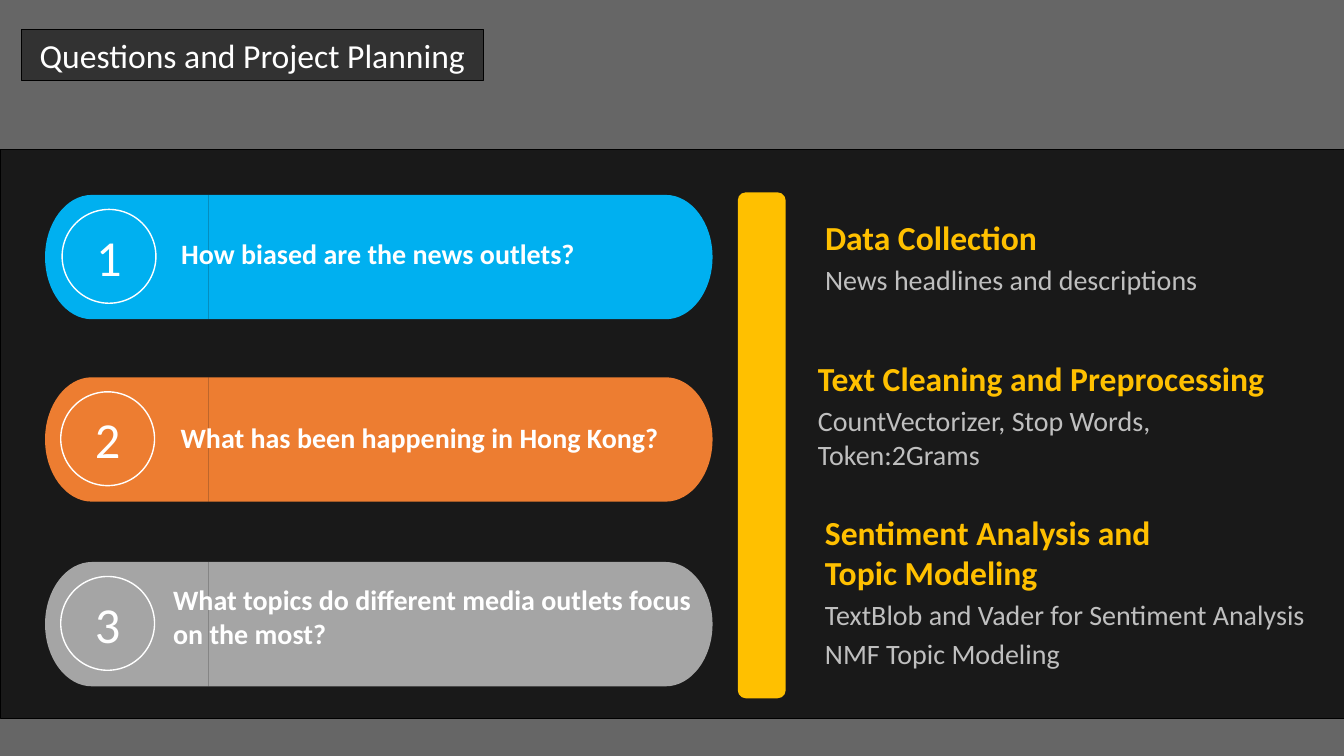
from dataclasses import dataclass

from lxml.etree import SubElement
from pptx import Presentation
from pptx.dml.color import RGBColor
from pptx.enum.shapes import MSO_SHAPE
from pptx.enum.text import MSO_ANCHOR, MSO_AUTO_SIZE, PP_ALIGN
from pptx.oxml.ns import qn
from pptx.util import Pt

FONT = "Calibri"
BLACK = RGBColor(0x00, 0x00, 0x00)
WHITE = RGBColor(0xFF, 0xFF, 0xFF)
BACKDROP = RGBColor(0x66, 0x66, 0x66)
BLUE = RGBColor(0x00, 0xB0, 0xF0)
ORANGE = RGBColor(0xED, 0x7D, 0x31)
GRAY = RGBColor(0xA5, 0xA5, 0xA5)
GOLD = RGBColor(0xFF, 0xC0, 0x00)
SILVER = RGBColor(0xBF, 0xBF, 0xBF)

PILL_LEFT, PILL_SPLIT, PILL_RIGHT = 32.2, 149, 509
PILL_HEIGHT = 88.8
CAP = 33.5
CURVE = 0.55  # handle length of a quarter-ellipse Bézier
BADGE = 67


@dataclass
class Question:
    number: str
    text: str
    color: RGBColor
    top: float
    badge_left: float
    text_box: tuple[float, float, float, float]


@dataclass
class Stage:
    headings: list[str]
    details: list[str]
    box: tuple[float, float, float, float]


QUESTIONS = [
    Question("1", "How biased are the news outlets?", BLUE, 139.2, 44.4,
             (122.4, 165.6, 377, 31.5)),
    Question("2", "What has been happening in Hong Kong?", ORANGE, 269.5, 43.4,
             (121.9, 296.8, 394, 31.5)),
    Question("3", "What topics do different media outlets focus on the most?", GRAY,
             401.4, 43.4, (116.6, 412.5, 405, 55.5)),
]
STAGES = [
    Stage(["Data Collection"], ["News headlines and descriptions"],
          (582.2, 151.3, 342, 65.5)),
    Stage(["Text Cleaning and Preprocessing"],
          ["CountVectorizer, Stop Words, Token:2Grams"], (577.2, 252, 352, 90)),
    Stage(["Sentiment Analysis and", "Topic Modeling"],
          ["TextBlob and Vader for Sentiment Analysis", "NMF Topic Modeling"],
          (582.2, 361.8, 365, 124)),
]


def write(tf, text: str, *, size: float, color: RGBColor, bold: bool = False,
          align=PP_ALIGN.LEFT, before: float = 0) -> None:
    """Fill the empty first paragraph, or append a new one."""
    p = tf.paragraphs[0] if not tf.text else tf.add_paragraph()
    p.alignment = align
    if before:
        p.space_before = Pt(before)
    r = p.add_run()
    r.text = text
    r.font.name, r.font.size, r.font.bold = FONT, Pt(size), bold
    r.font.color.rgb = color


def paint(sp, fill: RGBColor | None = None, opacity: int = 100,
          line: RGBColor | None = None, width: float = 1) -> None:
    if fill is None:
        sp.fill.background()
    else:
        sp.fill.solid()
        sp.fill.fore_color.rgb = fill
        if opacity < 100:
            clr = sp.fill._xPr.find(qn("a:solidFill"))[0]
            SubElement(clr, qn("a:alpha")).set("val", str(opacity * 1000))
    if line is None:
        sp.line.fill.background()
    else:
        sp.line.color.rgb = line
        sp.line.width = Pt(width)


def add_shape(s, kind: MSO_SHAPE, box: tuple[float, float, float, float], **style):
    sp = s.shapes.add_shape(kind, *map(Pt, box))
    sp.shadow.inherit = False
    paint(sp, **style)
    return sp


def add_text_box(s, box: tuple[float, float, float, float]):
    tf = s.shapes.add_textbox(*map(Pt, box)).text_frame
    tf.word_wrap = True
    tf.auto_size = MSO_AUTO_SIZE.SHAPE_TO_FIT_TEXT
    return tf


def round_cap(sp) -> None:
    """Turn the two cap edges of a pill half into quarter-ellipse curves."""
    edges = list(sp._element.iter(qn("a:lnTo")))[:3]
    corners = [(int(e[0].get("x")), int(e[0].get("y"))) for e in edges]
    (x0, y0), (x1, y1), (x2, y2) = corners
    handles = [
        [(x0 + CURVE * (x1 - x0), y0), (x1, y1 - CURVE * (y1 - y0))],
        [(x1, y1 + CURVE * (y2 - y1)), (x2 + CURVE * (x1 - x2), y2)],
    ]
    for edge, pair, end in zip(edges[1:], handles, corners[1:]):
        outline = edge.getparent()
        curve = SubElement(outline, qn("a:cubicBezTo"))
        for x, y in [*pair, end]:
            pt = SubElement(curve, qn("a:pt"))
            pt.set("x", str(round(x)))
            pt.set("y", str(round(y)))
        outline.replace(edge, curve)


def add_pill_half(s, outer: float, top: float, color: RGBColor) -> None:
    inner = outer - CAP if outer > PILL_SPLIT else outer + CAP
    bottom = top + PILL_HEIGHT
    points = [(inner, top), (outer, top + PILL_HEIGHT / 2), (inner, bottom),
              (PILL_SPLIT, bottom)]
    builder = s.shapes.build_freeform(Pt(PILL_SPLIT), Pt(top))
    builder.add_line_segments([(Pt(x), Pt(y)) for x, y in points])
    sp = builder.convert_to_shape()
    sp.shadow.inherit = False
    round_cap(sp)
    paint(sp, color)


def add_question(s, q: Question) -> None:
    for outer in (PILL_LEFT, PILL_RIGHT):
        add_pill_half(s, outer, q.top, q.color)
    badge_top = q.top + (PILL_HEIGHT - BADGE) / 2 - 0.5
    badge = add_shape(s, MSO_SHAPE.OVAL, (q.badge_left, badge_top, BADGE, BADGE),
                      line=WHITE)
    badge.text_frame.vertical_anchor = MSO_ANCHOR.MIDDLE
    write(badge.text_frame, q.number, size=36, color=WHITE, align=PP_ALIGN.CENTER)
    write(add_text_box(s, q.text_box), q.text, size=20, color=WHITE, bold=True)


def add_stage(s, stage: Stage) -> None:
    tf = add_text_box(s, stage.box)
    for heading in stage.headings:
        write(tf, heading, size=24, color=GOLD, bold=True)
    for detail in stage.details:
        write(tf, detail, size=20, color=SILVER, before=4)


def add_title(s, text: str) -> None:
    sp = s.shapes.title
    sp.left, sp.top, sp.width, sp.height = map(Pt, (15.2, 21, 330, 36.4))
    paint(sp, BLACK, opacity=50, line=BLACK, width=0.75)
    tf = sp.text_frame
    tf.word_wrap = True
    tf.auto_size = MSO_AUTO_SIZE.NONE
    tf.vertical_anchor = MSO_ANCHOR.TOP
    write(tf, text, size=24, color=WHITE, align=PP_ALIGN.CENTER)


def main() -> None:
    prs = Presentation()
    prs.slide_width, prs.slide_height = Pt(960), Pt(540)
    s = prs.slides.add_slide(prs.slide_layouts[5])
    s.background.fill.solid()
    s.background.fill.fore_color.rgb = BACKDROP

    add_title(s, "Questions and Project Planning")
    add_shape(s, MSO_SHAPE.RECTANGLE, (0, 107, 960, 406),
              fill=BLACK, opacity=75, line=BLACK, width=0.5)
    for q in QUESTIONS:
        add_question(s, q)
    add_shape(s, MSO_SHAPE.ROUNDED_RECTANGLE, (527, 137.4, 34.2, 361.4), fill=GOLD)
    for stage in STAGES:
        add_stage(s, stage)
    prs.save("out.pptx")


if __name__ == "__main__":
    main()
